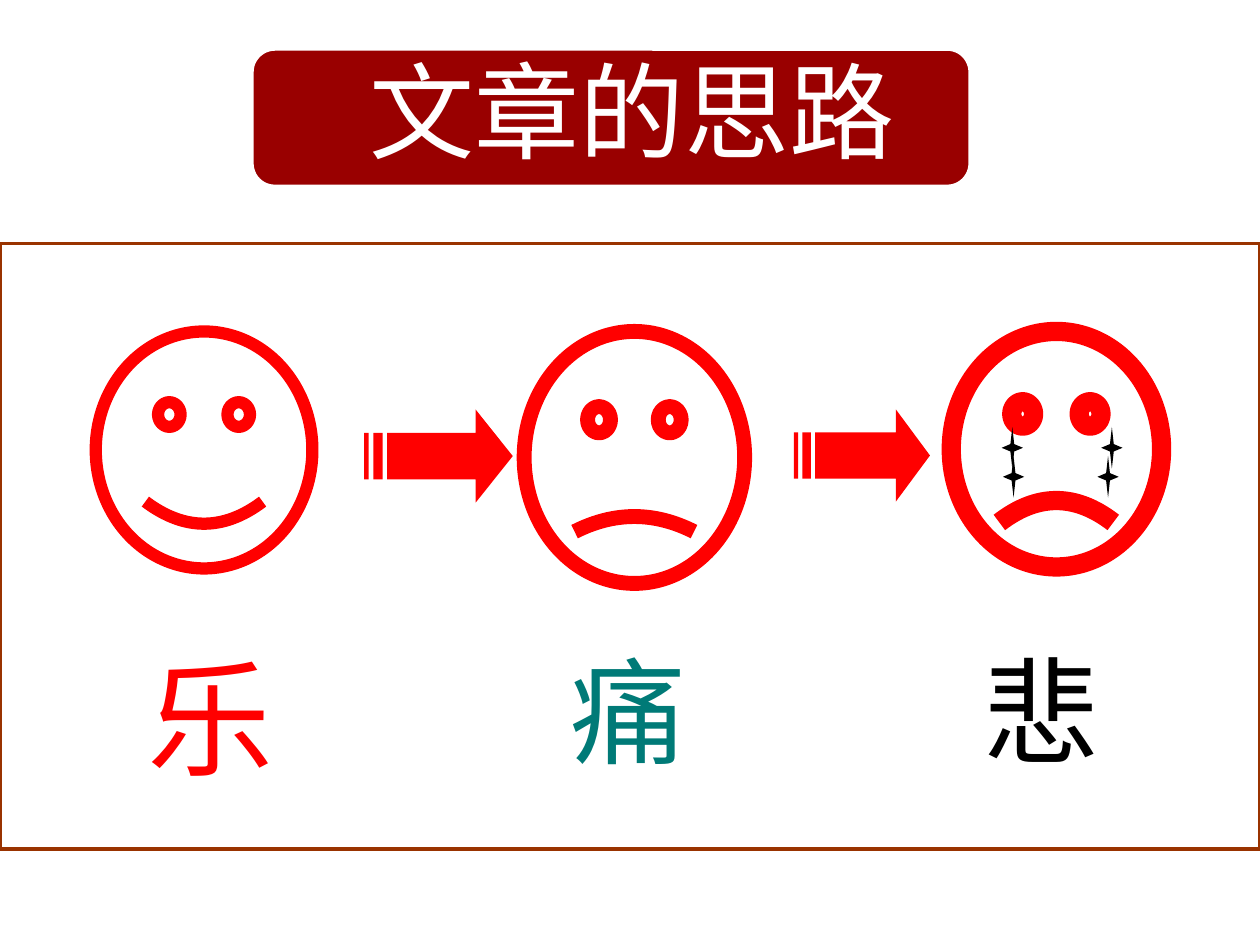
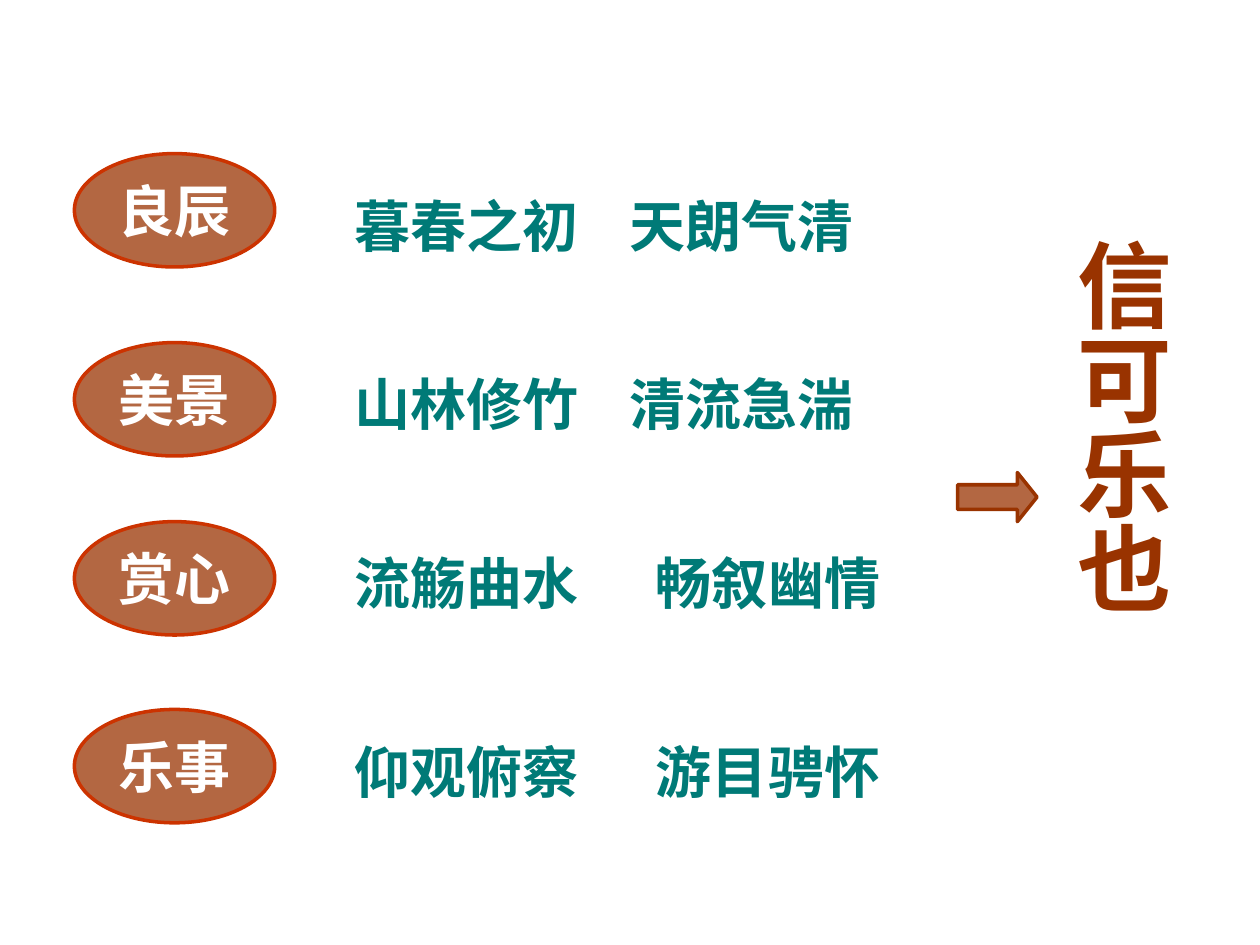
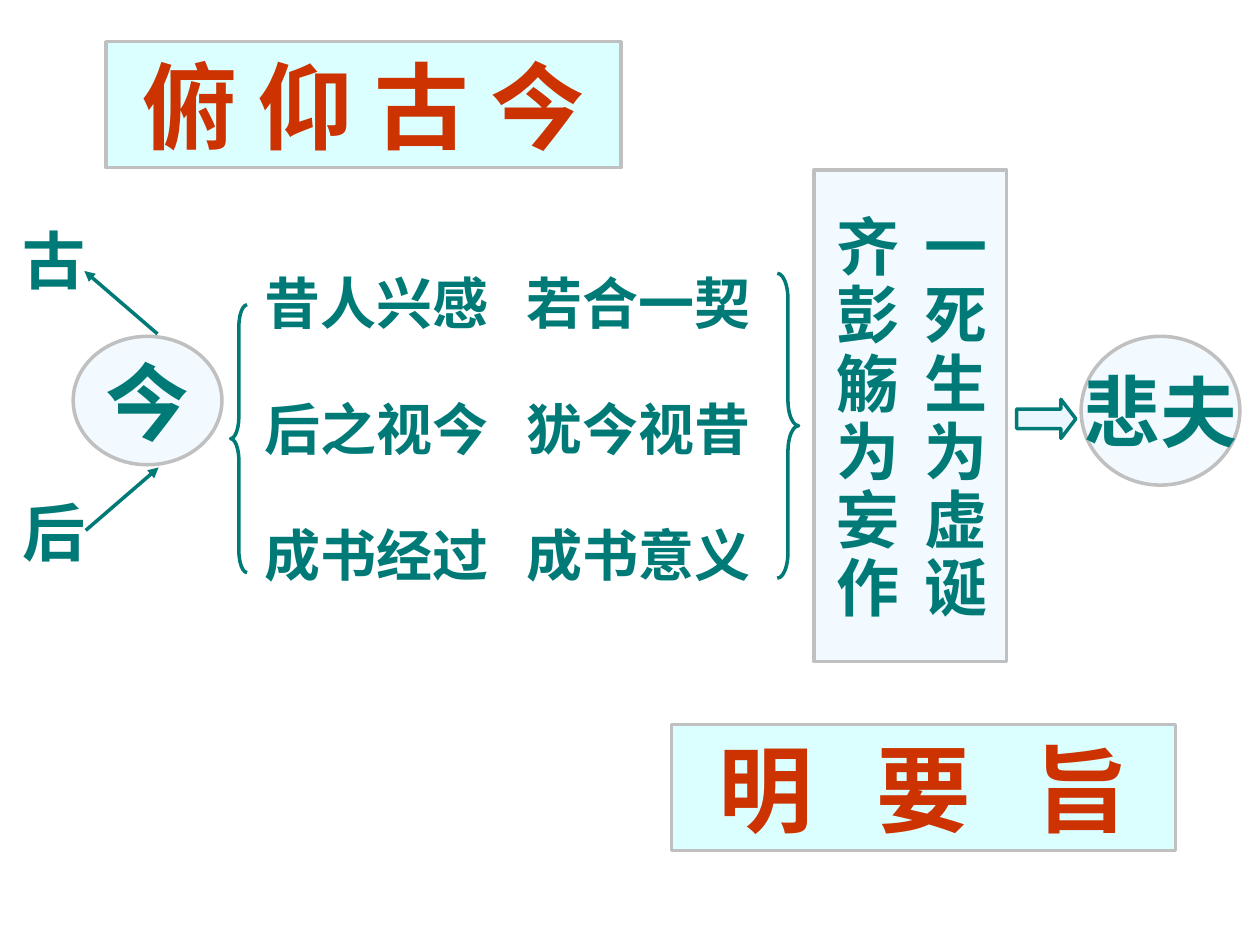
from lxml.etree import SubElement as Sub
from pptx import Presentation
from pptx.dml.color import RGBColor as Rgb
from pptx.enum.shapes import MSO_CONNECTOR as Conn, MSO_SHAPE as Kind
from pptx.enum.text import MSO_ANCHOR as Anchor, MSO_AUTO_SIZE as Fit, PP_ALIGN as Align
from pptx.oxml.ns import qn
from pptx.util import Pt

TEAL, RED, BROWN, RUST = "007A77", "FF0000", "993300", "CC3300"
WHITE, BLACK, MAROON = "FFFFFF", "000000", "990000"
GREY, ICE, AQUA = "C0C0C0", "EBF7FF", "CCFFFF"


def tint(color, value):
    """Set a colour format from a hex string."""
    color.rgb = Rgb.from_string(value)


def paint(shape, fill=None, line=None, width=2, alpha=100):
    """Set fill, transparency and outline of a shape."""
    if fill:
        shape.fill.solid()
        tint(shape.fill.fore_color, fill)
        if alpha < 100:
            hue = next(shape._element.spPr.iter(qn("a:srgbClr")))
            Sub(hue, qn("a:alpha"), val=str(alpha * 1000))
    else:
        shape.fill.background()
    if line:
        tint(shape.line.color, line)
        shape.line.width = Pt(width)
    else:
        shape.line.fill.background()


def draw(slide, kind, box, adj=(), **style):
    """Add a painted preset shape."""
    shape = slide.shapes.add_shape(kind, *map(Pt, box))
    shape.shadow.inherit = False
    for i, value in enumerate(adj):
        shape.adjustments[i] = value
    paint(shape, **style)
    return shape


def write(shape, text, size, color, bold=True, font="Arial", align=Align.LEFT,
          anchor=Anchor.TOP, wrap=True, tabs=(), lead=None):
    """Put one formatted paragraph into a shape."""
    frame = shape.text_frame
    frame.word_wrap = wrap
    frame.auto_size = Fit.NONE
    frame.vertical_anchor = anchor
    frame.text = text
    para = frame.paragraphs[0]
    para.alignment = align
    if tabs:
        stops = Sub(para._p.get_or_add_pPr(), qn("a:tabLst"))
        for stop in tabs:
            Sub(stops, qn("a:tab"), pos=str(Pt(stop)), algn="l")
    if lead:
        para.line_spacing = lead
    para.font.name = font
    para.font.size = Pt(size)
    para.font.bold = bold
    tint(para.font.color, color)


def label(slide, box, text, size, color, **style):
    """Add a text box."""
    shape = slide.shapes.add_textbox(*map(Pt, box))
    write(shape, text, size, color, **style)
    return shape


def head(slide, box, text, size, color, **style):
    """Place the title above the shapes drawn so far."""
    title = slide.shapes.title
    title.left, title.top, title.width, title.height = map(Pt, box)
    slide.shapes._spTree.append(title._element)
    write(title, text, size, color, **style)
    return title


def oval(slide, box, text, size, color, **style):
    """Add an ellipse with centred text."""
    shape = draw(slide, Kind.OVAL, box, **style)
    write(shape, text, size, color, align=Align.CENTER, anchor=Anchor.MIDDLE, wrap=False)


def dash(slide, left, top, width, height):
    """Add a red arrow with two stripes at its tail."""
    pen = slide.shapes.build_freeform(0, 1, scale=(Pt(width) / 32, Pt(height) / 4))
    pen.add_line_segments([(1, 1), (1, 3), (0, 3)])
    pen.move_to(2, 1)
    pen.add_line_segments([(4, 1), (4, 3), (2, 3)])
    pen.move_to(5, 1)
    pen.add_line_segments([(24, 1), (24, 0), (32, 2), (24, 4), (24, 3), (5, 3)])
    shape = pen.convert_to_shape(Pt(left), Pt(top))
    shape.shadow.inherit = False
    paint(shape, RED)


def link(slide, *ends):
    """Add a teal line with an arrowhead at its end."""
    line = slide.shapes.add_connector(Conn.STRAIGHT, *map(Pt, ends))
    tint(line.line.color, TEAL)
    line.line.width = Pt(2)
    Sub(line.line._get_or_add_ln(), qn("a:tailEnd"), type="triangle")
    Sub(line._element.spPr, qn("a:effectLst"))


def moods(slide):
    """Build the three moods of the essay."""
    draw(slide, Kind.RECTANGLE, (0, 139, 720, 346.3), fill=WHITE, line=BROWN)
    draw(slide, Kind.ROUNDED_RECTANGLE, (144, 28, 410.4, 78.5), fill=MAROON, line=WHITE)
    head(slide, (203.8, 23, 410, 79), "文章的思路", 60, WHITE, bold=False)
    faces = [
        ((54.7, 189.4, 123.8, 135.4), 0.05, 7),
        ((299.5, 189.4, 126, 144), -0.03, 8.5),
        ((543.6, 189.4, 120.2, 134.6), -0.05, 11),
    ]
    for box, smile, width in faces:
        draw(slide, Kind.SMILEY_FACE, box, [smile], line=RED, width=width)
    words = [(77, "乐", 72, RED), (319, "痛", 66, TEAL), (555.1, "悲", 66, BLACK)]
    for left, text, size, color in words:
        label(slide, (left, 362.2, 140, 90), text, size, color, bold=False, font="Lato")
    dash(slide, 208, 234, 85, 53.3)
    dash(slide, 453.6, 234, 77.8, 52.6)
    for left, top in [(572.4, 244), (573.1, 260.6), (627.1, 260.6), (629.3, 244)]:
        draw(slide, Kind.STAR_4_POINT, (left, top, 12.2, 23.8), fill=BLACK)


def joys(slide):
    """Build the four joys and what they lead to."""
    rows = [
        (87.8, "良辰", 105.8, "暮春之初\t天朗气清", 157),
        (195.8, "美景", 207.4, "山林修竹\t清流急湍", 157),
        (298.1, "赏心", 309.6, "流觞曲水\t畅叙幽情", 172),
        (405.4, "乐事", 417.6, "仰观俯察\t游目骋怀", 172),
    ]
    for top, name, base, text, tab in rows:
        oval(slide, (42.5, top, 114.5, 64.8), name, 32, WHITE,
             fill=BROWN, line=RUST, alpha=74)
        label(slide, (195.8, base, 346, 46), text, 32, TEAL, tabs=[tab])
    joy = label(slide, (597.6, 128.9, 79.2, 323.3), "信可乐也", 54, BROWN,
                align=Align.CENTER)
    frame = joy.text_frame
    frame.margin_left = frame.margin_right = Pt(3.6)
    frame.margin_top = frame.margin_bottom = Pt(7.2)
    frame._txBody.bodyPr.set("vert", "eaVert")
    draw(slide, Kind.RIGHT_ARROW, (547.2, 270, 45.4, 28.1), [0.5, 0.4],
         fill=BROWN, line=BROWN, alpha=74)


def times(slide):
    """Build the view of past and present."""
    pale = dict(fill=ICE, line=GREY, alpha=62)
    aqua = dict(fill=AQUA, line=GREY, alpha=70)
    lines = ["昔人兴感\t若合一契", "后之视今\t犹今视昔", "成书经过\t成书意义"]
    for i, text in enumerate(lines):
        label(slide, (144, 149.8 + 72 * i, 335, 46), text, 32, TEAL, tabs=[150])
    oval(slide, (617.8, 192.2, 90.7, 85), "悲夫", 44, TEAL, **pale)
    oval(slide, (41.8, 192.2, 85, 73.4), "今", 48, TEAL, **pale)
    for top, text in [(123.1, "古"), (278.6, "后")]:
        label(slide, (5.8, top, 70, 50), text, 36, TEAL)
    link(slide, 90, 190.8, 48.2, 154.8)
    link(slide, 49, 303.1, 90.7, 267.1)
    draw(slide, Kind.LEFT_BRACE, (131.8, 174.2, 9.4, 153), [1.33, 0.5], line=TEAL)
    draw(slide, Kind.RIGHT_BRACE, (444.2, 156.2, 12.2, 174.2), [1.2, 0.5], line=TEAL)
    draw(slide, Kind.RIGHT_ARROW, (581, 228.2, 33.8, 22.3), [0.5, 0.38],
         fill=ICE, line=TEAL)
    draw(slide, Kind.RECTANGLE, (465.1, 97.2, 110.2, 280.8), **pale)
    for left, text in [(521.3, "一死生为虚诞"), (470.9, "齐彭觞为妄作")]:
        label(slide, (left, 120.2, 68, 240.5), text, 36, TEAL, lead=0.9)
    theme = draw(slide, Kind.RECTANGLE, (383.8, 414, 288, 72), **aqua)
    write(theme, "明\t要\t旨", 54, RUST, tabs=[90.5, 181])
    theme.text_frame.margin_left = Pt(26.5)
    title = head(slide, (60.5, 23.8, 294.5, 72), "俯 仰 古 今", 54, RUST,
                 align=Align.CENTER)
    paint(title, **aqua)


def main():
    """Build and save the slides."""
    deck = Presentation()
    deck.slide_width, deck.slide_height = Pt(720), Pt(540)
    for build, layout in [(moods, 5), (joys, 6), (times, 5)]:
        build(deck.slides.add_slide(deck.slide_layouts[layout]))
    deck.save("out.pptx")


if __name__ == "__main__":
    main()
